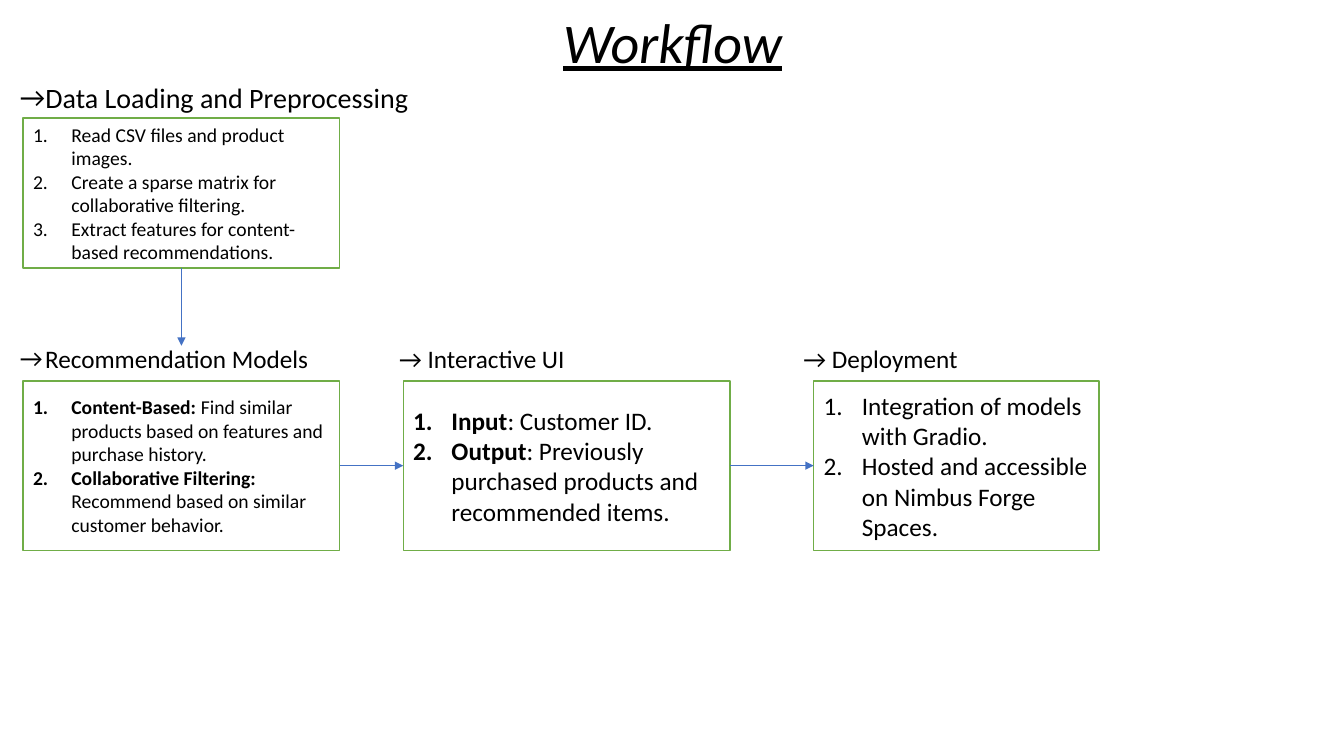
from lxml.etree import SubElement
from pptx import Presentation
from pptx.dml.color import RGBColor
from pptx.enum.shapes import MSO_CONNECTOR, MSO_SHAPE
from pptx.enum.text import MSO_ANCHOR, PP_ALIGN
from pptx.oxml.ns import qn
from pptx.util import Inches, Pt

BLACK = RGBColor(0x00, 0x00, 0x00)
WHITE = RGBColor(0xFF, 0xFF, 0xFF)
GREEN = RGBColor(0x70, 0xAD, 0x47)
BLUE = RGBColor(0x44, 0x72, 0xC4)

STEP_TOP, STEP_HEIGHT = 3.78, 1.68
HEADING_TOP = 3.38


def add_span(para, text, **formats):
    span = para.add_run()
    span.text = text
    span.font.name = "Calibri"
    span.font.color.rgb = BLACK
    for name, value in formats.items():
        setattr(span.font, name, value)


def set_bullet(para, indent, tag, **attributes):
    """Give the paragraph a hanging indent and a bullet of the tagged kind."""
    properties = para._p.get_or_add_pPr()
    properties.set("marL", str(Inches(indent)))
    properties.set("indent", str(-Inches(indent)))
    if tag == "a:buChar":
        SubElement(properties, qn("a:buFont"), typeface="Calibri")
    SubElement(properties, qn(tag), **attributes)


deck = Presentation()
deck.slide_width, deck.slide_height = Inches(13.33), Inches(7.5)
page = deck.slides.add_slide(deck.slide_layouts[6])

# Title and headings: text, left, top, width, height, arrow bullet, formats
headings = [
    ("Workflow", 0.92, -0.06, 11.5, 1.01, False,
     {"size": Pt(40), "italic": True, "underline": True}),
    ("Data Loading and Preprocessing", 0.1, 0.79, 4.5, 0.4, True, {"size": Pt(20)}),
    ("Recommendation Models", 0.1, HEADING_TOP, 3.5, 0.4, True, {"size": Pt(18)}),
    ("→ Interactive UI", 3.86, HEADING_TOP, 3, 0.4, False, {"size": Pt(18)}),
    ("→ Deployment", 7.87, HEADING_TOP, 3, 0.4, False, {"size": Pt(18)}),
]
for text, left, top, width, height, bulleted, formats in headings:
    box = page.shapes.add_textbox(Inches(left), Inches(top), Inches(width), Inches(height))
    box.text_frame.word_wrap = True
    box.text_frame.vertical_anchor = MSO_ANCHOR.MIDDLE
    para = box.text_frame.paragraphs[0]
    para.line_spacing = 0.9
    para.alignment = PP_ALIGN.CENTER if text == "Workflow" else PP_ALIGN.LEFT
    if bulleted:
        set_bullet(para, 0.25, "a:buChar", char="→")
    add_span(para, text, **formats)

# Step boxes: left, top, width, height, text size, items of (bold lead, rest)
steps = [
    (0.23, 1.17, 3.14, 1.49, 14, [
        ("", "Read CSV files and product images."),
        ("", "Create a sparse matrix for collaborative filtering."),
        ("", "Extract features for content-based recommendations."),
    ]),
    (0.23, STEP_TOP, 3.14, STEP_HEIGHT, 14, [
        ("Content-Based:", " Find similar products based on features and purchase history."),
        ("Collaborative Filtering:", " Recommend based on similar customer behavior."),
    ]),
    (4, STEP_TOP, 3.24, STEP_HEIGHT, 18, [
        ("Input", ": Customer ID."),
        ("Output", ": Previously purchased products and recommended items."),
    ]),
    (8.07, STEP_TOP, 2.83, STEP_HEIGHT, 18, [
        ("", "Integration of models with Gradio."),
        ("", "Hosted and accessible on Nimbus Forge Spaces."),
    ]),
]
boxes = []
for left, top, width, height, size, items in steps:
    box = page.shapes.add_shape(
        MSO_SHAPE.RECTANGLE, Inches(left), Inches(top), Inches(width), Inches(height))
    box.shadow.inherit = False
    box.fill.solid()
    box.fill.fore_color.rgb = WHITE
    box.line.color.rgb = GREEN
    box.line.width = Pt(1)
    frame = box.text_frame
    frame.word_wrap = True
    frame.vertical_anchor = MSO_ANCHOR.MIDDLE
    for index, (lead, rest) in enumerate(items):
        para = frame.add_paragraph() if index else frame.paragraphs[0]
        para.alignment = PP_ALIGN.LEFT
        set_bullet(para, 0.38, "a:buAutoNum", type="arabicPeriod")
        if lead:
            add_span(para, lead, size=Pt(size), bold=True)
        add_span(para, rest, size=Pt(size), bold=False)
    boxes.append(box)

loading, models, interface, deployment = boxes

# Arrows: start box, its side, end box (None for a free end at the heading)
for start, side, end in [(loading, 2, None), (models, 3, interface), (interface, 3, deployment)]:
    arrow = page.shapes.add_connector(
        MSO_CONNECTOR.STRAIGHT, Inches(1.8), Inches(2.66), Inches(1.8), Inches(3.43))
    arrow.begin_connect(start, side)
    if end is not None:
        arrow.end_connect(end, 1)
    arrow.line.color.rgb = BLUE
    arrow.line.width = Pt(0.5)
    SubElement(arrow.line._get_or_add_ln(), qn("a:tailEnd"), type="triangle")
    SubElement(arrow._element.spPr, qn("a:effectLst"))

deck.save("out.pptx")
